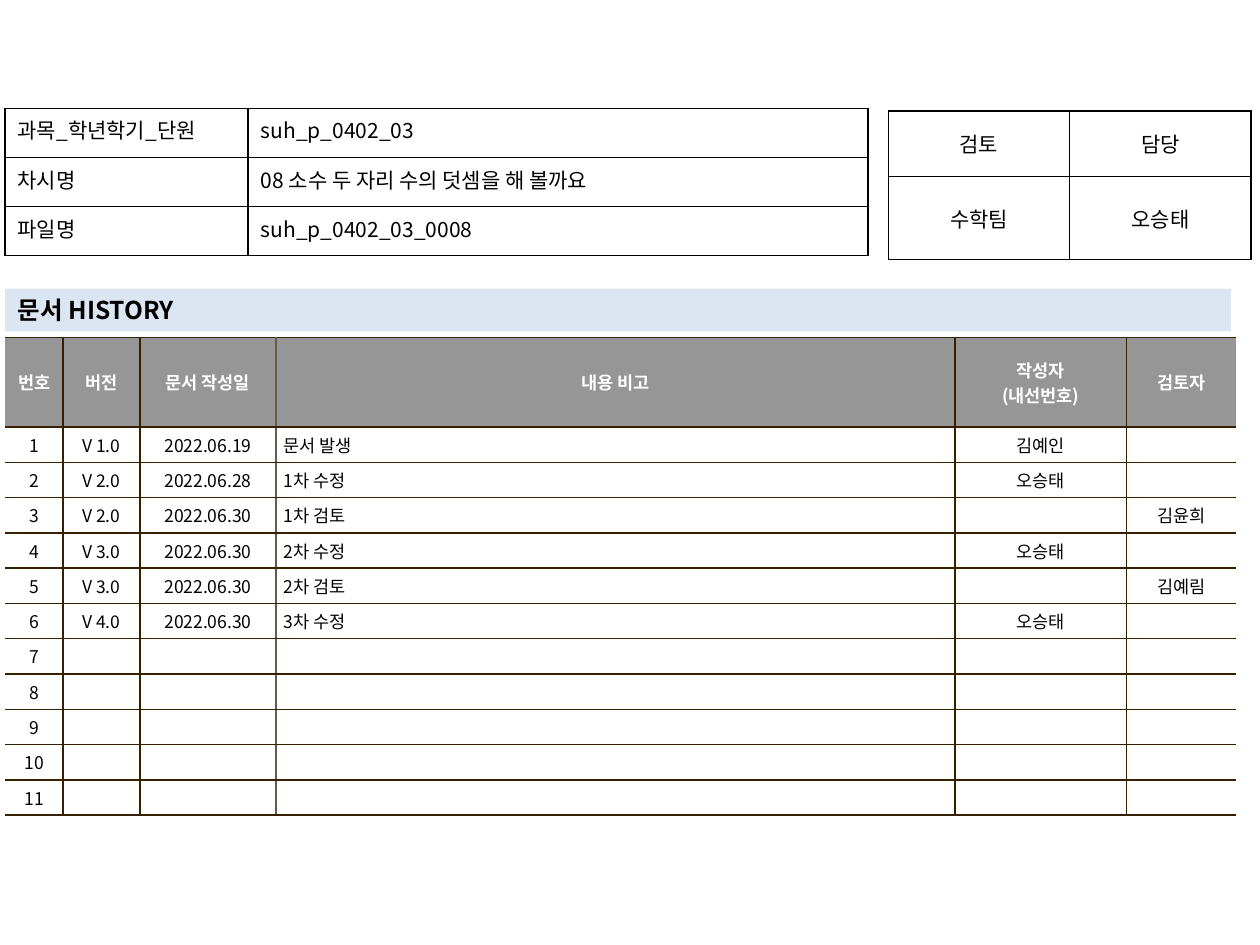
"""Build the document history page of a lesson storyboard."""
from lxml.etree import SubElement
from pptx import Presentation
from pptx.dml.color import RGBColor
from pptx.enum.text import MSO_ANCHOR as Anchor, MSO_AUTO_SIZE as AutoSize, PP_ALIGN as Align
from pptx.oxml.ns import qn
from pptx.util import Inches, Pt

FONT = "Noto Sans CJK KR"
BLACK = RGBColor(0x00, 0x00, 0x00)
WHITE = RGBColor(0xFF, 0xFF, 0xFF)
GRAY = RGBColor(0x96, 0x96, 0x96)
PALE_BLUE = RGBColor(0xDC, 0xE6, 0xF2)
BROWN = RGBColor(0x36, 0x20, 0x00)
TAUPE = RGBColor(0x64, 0x5B, 0x4C)

HEADING = "문서 HISTORY"
LESSON = [
    ("과목_학년학기_단원 ", "suh_p_0402_03"),
    ("차시명", "08 소수 두 자리 수의 덧셈을 해 볼까요"),
    ("파일명", "suh_p_0402_03_0008"),
]
STAFF = [("검토", "담당"), ("수학팀", "오승태")]
HISTORY_HEADER = ("번호", "버전", "문서 작성일", "내용 비고", "작성자\n(내선번호)", "검토자")
REVISIONS = [
    ("V 1.0", "2022.06.19", "문서 발생", "김예인", ""),
    ("V 2.0", "2022.06.28", "1차 수정", "오승태", ""),
    ("V 2.0", "2022.06.30", "1차 검토", "", "김윤희"),
    ("V 3.0", "2022.06.30", "2차 수정", "오승태", ""),
    ("V 3.0", "2022.06.30", "2차 검토", "", "김예림"),
    ("V 4.0", "2022.06.30", "3차 수정", "오승태", ""),
]
HISTORY_ROWS = 11
DATE_COLUMN, NOTE_COLUMN = 2, 3


def write(paragraph, text, size, color=BLACK, bold=False, align=Align.LEFT):
    paragraph.alignment = align
    if not text:
        end = SubElement(paragraph._p, qn("a:endParaRPr"))
        end.set("sz", str(size * 100))
        return
    span = paragraph.add_run()
    span.text = text
    span.font.size = Pt(size)
    span.font.bold = bold
    span.font.color.rgb = color
    span.font.name = FONT
    SubElement(span._r.get_or_add_rPr(), qn("a:ea")).set("typeface", FONT)


def set_borders(cell, colors):
    properties = cell._tc.get_or_add_tcPr()
    for side, color in zip("LRTB", colors):
        line = SubElement(properties, qn(f"a:ln{side}"), w=str(Pt(1)))
        if color is None:
            SubElement(line, qn("a:noFill"))
        else:
            fill = SubElement(line, qn("a:solidFill"))
            SubElement(fill, qn("a:srgbClr")).set("val", str(color))


def add_grid(page, rows, left, top, widths, heights):
    frame = page.shapes.add_table(
        len(rows), len(widths), Inches(left), Inches(top),
        Inches(sum(widths)), Inches(sum(heights)))
    table = frame.table
    table.first_row = table.horz_banding = False
    for column, width in zip(table.columns, widths):
        column.width = Inches(width)
    for row, height in zip(table.rows, heights):
        row.height = Inches(height)
    return table


def fill_cell(cell, text, margins, anchor, borders, background, **style):
    cell.margin_left = cell.margin_right = Inches(margins[0])
    cell.margin_top = cell.margin_bottom = Inches(margins[1])
    cell.vertical_anchor = anchor
    set_borders(cell, borders)
    if background is None:
        cell.fill.background()
    else:
        cell.fill.solid()
        cell.fill.fore_color.rgb = background
    frame = cell.text_frame
    for index, line in enumerate(text.split("\n")):
        paragraph = frame.add_paragraph() if index else frame.paragraphs[0]
        write(paragraph, line, **style)


def add_info(page, rows, left, top, widths, heights, anchor, aligns):
    table = add_grid(page, rows, left, top, widths, heights)
    for r, row in enumerate(rows):
        for c, text in enumerate(row):
            fill_cell(table.cell(r, c), text, (0.1, 0.05), anchor,
                      [BLACK] * 4, None, size=12, align=aligns[c])


def add_history(page):
    blank = ("",) * len(REVISIONS[0])
    entries = REVISIONS + [blank] * (HISTORY_ROWS - len(REVISIONS))
    rows = [HISTORY_HEADER]
    rows += [(str(number), *entry) for number, entry in enumerate(entries, 1)]
    table = add_grid(page, rows, 0.04, 2.68, [0.46, 0.61, 1.08, 5.39, 1.36, 0.87],
                     [0.71] + [0.28] * HISTORY_ROWS)
    last = len(HISTORY_HEADER) - 1
    edges = [None] + [BROWN] * last + [None]
    edges[NOTE_COLUMN] = TAUPE
    for r, row in enumerate(rows):
        header = r == 0
        for c, text in enumerate(row):
            is_note = c == NOTE_COLUMN and not header
            fill_cell(table.cell(r, c), text, (0.06, 0.04), Anchor.MIDDLE,
                      (edges[c], edges[c + 1], BROWN, BROWN),
                      GRAY if header else WHITE, size=10, bold=header,
                      color=WHITE if header else BLACK,
                      align=Align.LEFT if is_note else Align.CENTER)


def add_heading(page):
    box = page.shapes.title
    box.left, box.top = Inches(0.04), Inches(2.29)
    box.width, box.height = Inches(9.73), Inches(0.34)
    box.fill.solid()
    box.fill.fore_color.rgb = PALE_BLUE
    frame = box.text_frame
    frame.auto_size = AutoSize.NONE
    frame.word_wrap = True
    frame.vertical_anchor = Anchor.MIDDLE
    frame.margin_top = frame.margin_bottom = 0
    write(frame.paragraphs[0], HEADING, 14, bold=True)


def main():
    deck = Presentation()
    deck.slide_width, deck.slide_height = Inches(10), Inches(7.5)
    page = deck.slides.add_slide(deck.slide_layouts.get_by_name("Title Only"))
    add_heading(page)
    add_history(page)
    add_info(page, STAFF, 7.05, 0.88, [1.44] * 2, [0.52, 0.66],
             Anchor.MIDDLE, [Align.CENTER] * 2)
    add_info(page, LESSON, 0.04, 0.86, [1.93, 4.92], [0.39] * 3,
             Anchor.TOP, [Align.JUSTIFY, Align.LEFT])
    deck.save("out.pptx")


if __name__ == "__main__":
    main()
